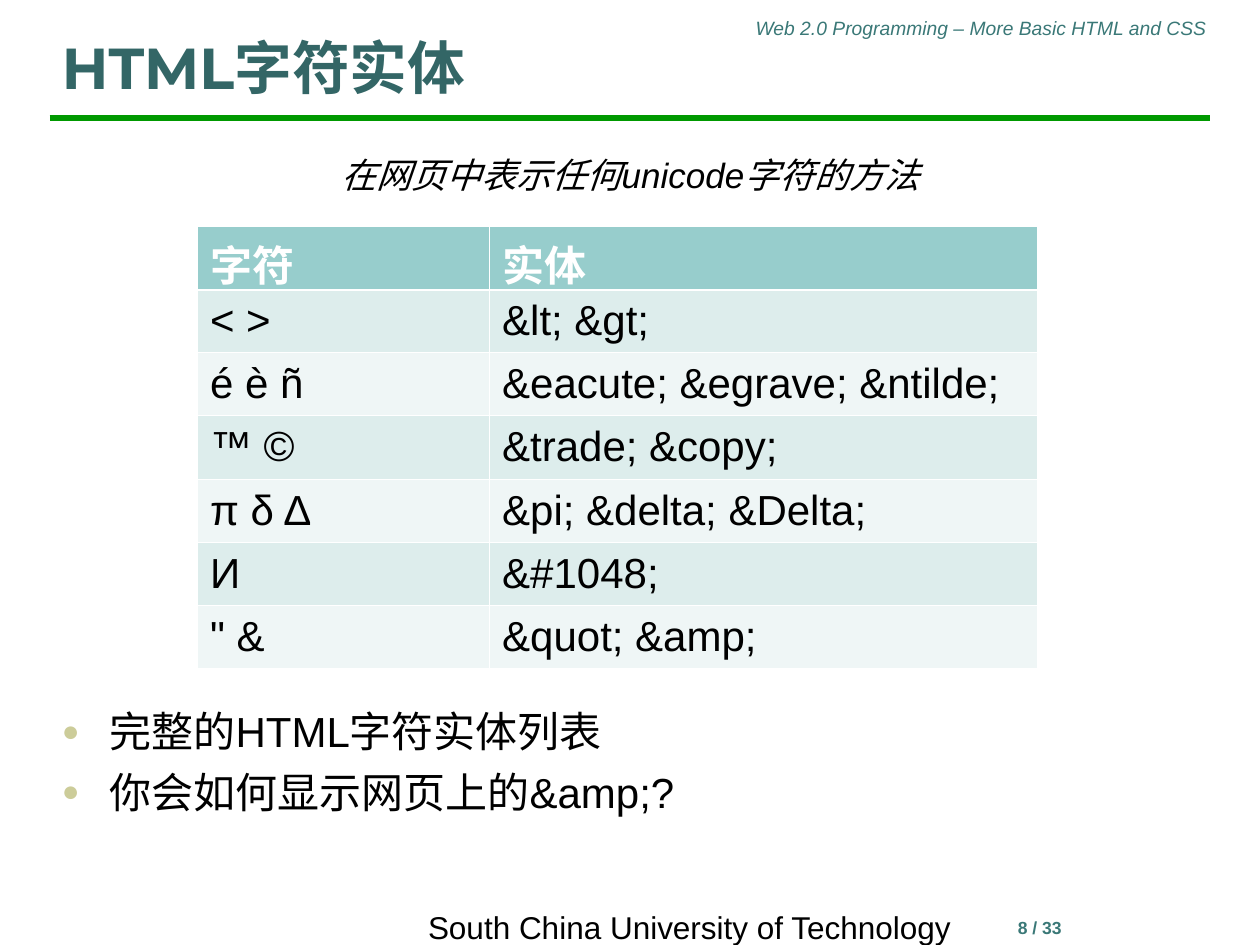
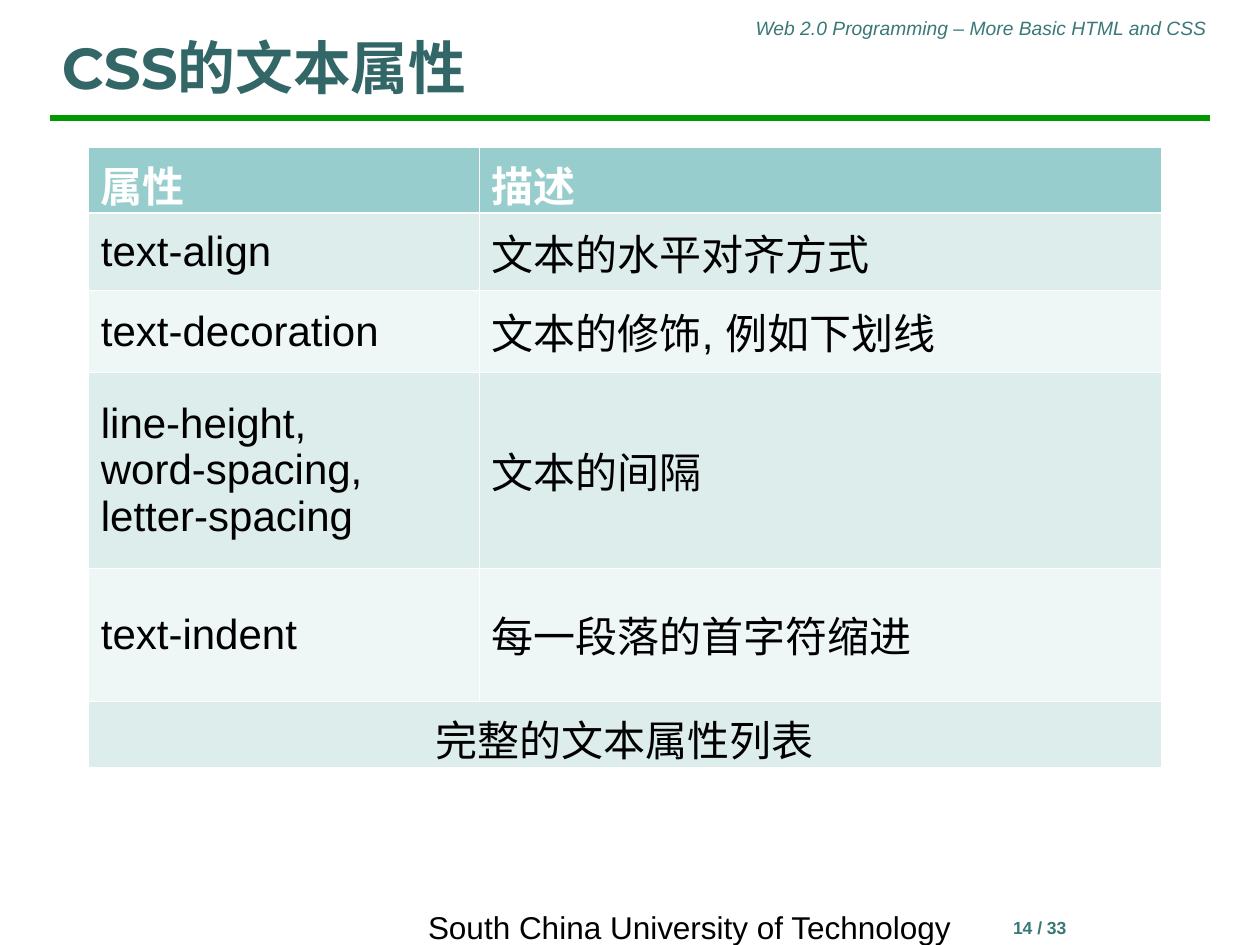
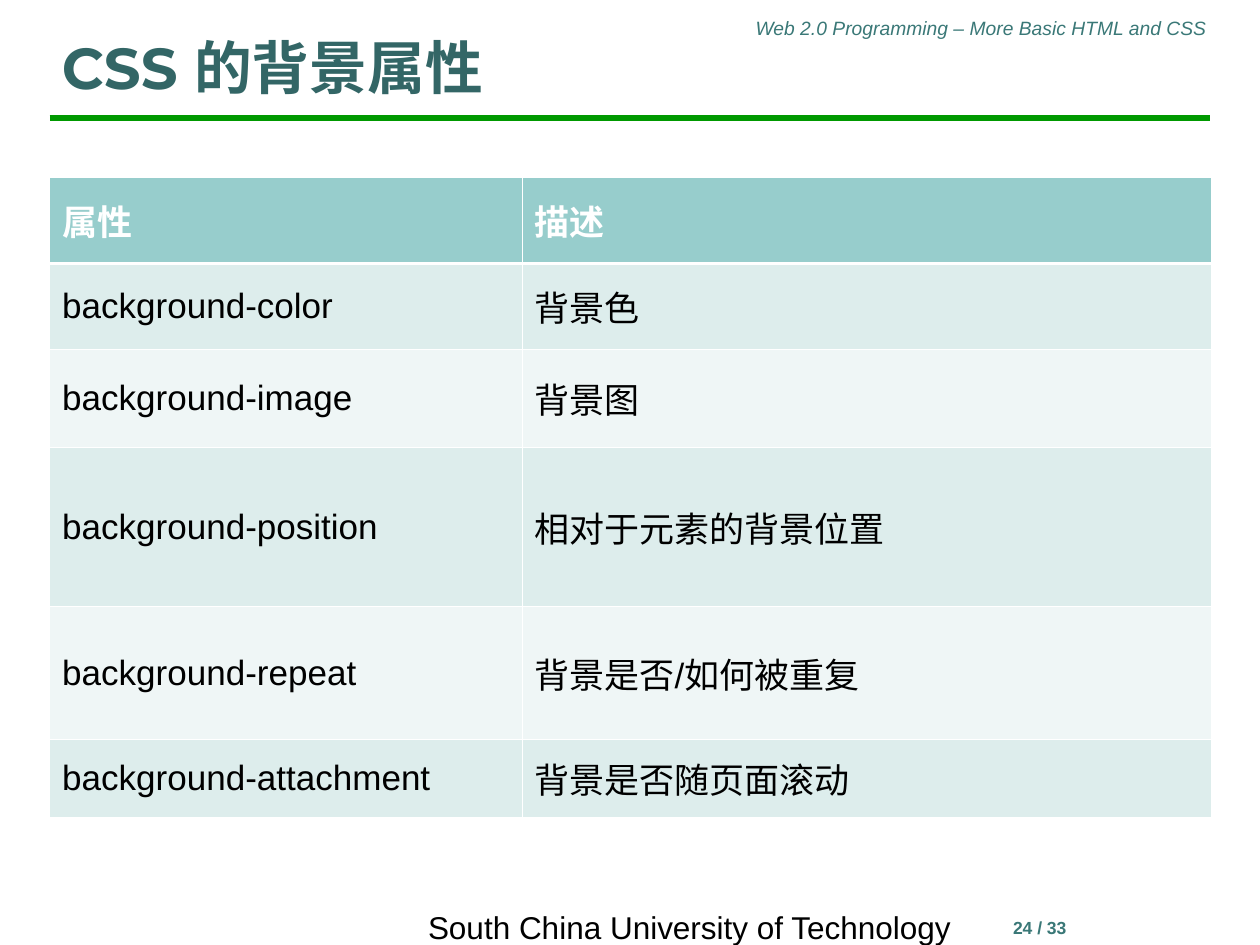
from dataclasses import dataclass

from lxml import etree
from pptx import Presentation
from pptx import util as u
from pptx.dml.color import RGBColor
from pptx.enum import lang, shapes, text
from pptx.oxml import ns


@dataclass(frozen=True)
class Theme:
    title: str = "336666"
    accent: str = "3A7877"
    rule: str = "009900"
    body: str = "000000"
    white: str = "FFFFFF"
    bullet: str = "CCCC99"
    header_fill: str = "97CDCC"
    band_fills: tuple = ("DDEDEC", "EFF6F6")
    title_font: str = "Montserrat"
    body_font: str = "Arial"
    title_size: int = 33
    large_size: int = 24
    medium_size: int = 20
    footer_size: int = 18
    running_size: int = 11
    number_size: int = 10
    rule_width: float = 3
    border: float = 0.45
    header_border: float = 1.47


@dataclass(frozen=True)
class Box:
    left: float
    top: float
    width: float
    height: float

    def inside(self, left, top, width, height):
        return Box(self.left + left, self.top + top, width, height)

    def lengths(self):
        return [u.Cm(value) for value in (self.left, self.top, self.width, self.height)]


THEME = Theme()
PAGE = Box(0, 0, 25.4, 19.05)
CONTENT = Box(1, 2.97, 23.42, 14.5)
PAGE_COUNT = 33
COURSE = "Web 2.0 Programming – More Basic HTML and CSS"
SCHOOL = "South China University of Technology"
LEFT, CENTER, RIGHT = text.PP_ALIGN.LEFT, text.PP_ALIGN.CENTER, text.PP_ALIGN.RIGHT
TOP, MIDDLE, BOTTOM = text.MSO_ANCHOR.TOP, text.MSO_ANCHOR.MIDDLE, text.MSO_ANCHOR.BOTTOM


def add_xml(parent, tag, **attributes):
    return etree.SubElement(parent, ns.qn(tag), attributes)


def write(paragraph, content, size=THEME.large_size, color=THEME.body, font=THEME.body_font,
          bold=False, italic=False, align=LEFT, before=0):
    paragraph.text = content
    paragraph.alignment = align
    paragraph.space_before = u.Pt(before)
    for run in paragraph.runs:
        run.font.name = font
        run.font.size = u.Pt(size)
        run.font.bold = bold
        run.font.italic = italic
        run.font.color.rgb = RGBColor.from_string(color)
        run.font.language_id = lang.MSO_LANGUAGE_ID.SIMPLIFIED_CHINESE


def add_text(slide, box, lines, anchor=TOP, bulleted=False, **style):
    frame = slide.shapes.add_textbox(*box.lengths()).text_frame
    frame.word_wrap = True
    frame.vertical_anchor = anchor
    for index, line in enumerate(lines):
        paragraph = frame.add_paragraph() if index else frame.paragraphs[0]
        write(paragraph, line, **style)
        if bulleted:
            add_bullet(paragraph)


def add_bullet(paragraph):
    properties = paragraph._p.get_or_add_pPr()
    indent = u.Cm(0.96)
    properties.set("marL", str(indent))
    properties.set("indent", str(-indent))
    add_xml(add_xml(properties, "a:buClr"), "a:srgbClr", val=THEME.bullet)
    add_xml(properties, "a:buSzPct", val="70000")
    add_xml(properties, "a:buFont", typeface=THEME.body_font)
    add_xml(properties, "a:buChar", char="●")


def add_rule(slide, box):
    left, top, width, height = box.lengths()
    rule = slide.shapes.add_connector(
        shapes.MSO_CONNECTOR.STRAIGHT, left, top, left + width, top + height)
    rule.line.color.rgb = RGBColor.from_string(THEME.rule)
    rule.line.width = u.Pt(THEME.rule_width)
    add_xml(rule._element.spPr, "a:effectLst")


def add_page_frame(slide, box, title, number):
    add_rule(slide, box.inside(1, 2.38, 23.4, 0))
    add_text(slide, box.inside(12.29, 0.2, 12.29, 0.74), [COURSE],
             size=THEME.running_size, color=THEME.accent, italic=True, align=RIGHT)
    add_text(slide, box.inside(18.1, 18.36, 5.72, 1.27), [f"{number} / {PAGE_COUNT}"],
             size=THEME.number_size, color=THEME.accent, bold=True, align=CENTER)
    add_text(slide, box.inside(8.1, 18.35, 11.6, 0.69), [SCHOOL], anchor=MIDDLE,
             size=THEME.footer_size, align=CENTER)
    add_text(slide, box.inside(1, 0.38, 23.42, 1.78), [title], anchor=BOTTOM,
             size=THEME.title_size, color=THEME.title, font=THEME.title_font, bold=True)


def set_borders(cell, row_index):
    properties = cell._tc.get_or_add_tcPr()
    widths = {
        "a:lnL": THEME.border,
        "a:lnR": THEME.border,
        "a:lnT": THEME.header_border if row_index == 1 else THEME.border,
        "a:lnB": THEME.header_border if row_index == 0 else THEME.border,
    }
    for position, (tag, width) in enumerate(widths.items()):
        line = etree.Element(ns.qn(tag), w=str(u.Pt(width)))
        add_xml(add_xml(line, "a:solidFill"), "a:srgbClr", val=THEME.white)
        properties.insert(position, line)


def add_property_table(slide, box, rows, column_widths, row_heights,
                       size=THEME.large_size, header_anchor=MIDDLE):
    table = slide.shapes.add_table(len(rows), len(column_widths), *box.lengths()).table
    table.horz_banding = False
    for column, width in zip(table.columns, column_widths):
        column.width = u.Cm(width)
    for row_index, (values, height) in enumerate(zip(rows, row_heights)):
        table.rows[row_index].height = u.Cm(height)
        header = row_index == 0
        spanning = len(values) == 1
        fill = THEME.header_fill if header else THEME.band_fills[(row_index - 1) % 2]
        for column_index in range(len(column_widths)):
            cell = table.cell(row_index, column_index)
            cell.fill.solid()
            cell.fill.fore_color.rgb = RGBColor.from_string(fill)
            set_borders(cell, row_index)
        for column_index, value in enumerate(values):
            cell = table.cell(row_index, column_index)
            cell.vertical_anchor = header_anchor if header else MIDDLE
            write(cell.text_frame.paragraphs[0], value, size=size, bold=header,
                  color=THEME.white if header else THEME.body,
                  align=CENTER if spanning else LEFT)
        if spanning:
            table.cell(row_index, 0).merge(table.cell(row_index, len(column_widths) - 1))


def fill_entities(slide, box):
    rows = [
        ("字符", "实体"),
        ("< >", "&lt; &gt;"),
        ("é è ñ", "&eacute; &egrave; &ntilde;"),
        ("™ ©", "&trade; &copy;"),
        ("π δ Δ", "&pi; &delta; &Delta;"),
        ("И", "&#1048;"),
        ('" &', "&quot; &amp;"),
    ]
    add_text(slide, box.inside(0, 11.13, box.width, 3.38),
             ["完整的HTML字符实体列表", "你会如何显示网页上的&amp;?"], bulleted=True, before=6)
    add_text(slide, box.inside(0, 0, box.width, 1.57), ["在网页中表示任何unicode字符的方法"],
             size=THEME.medium_size, italic=True, align=CENTER, before=5)
    add_property_table(slide, box.inside(2.98, 1.6, 16.94, 8.89), rows,
                       (5.89, 11.05), [1.27] * len(rows), header_anchor=TOP)


def fill_text_properties(slide, box):
    rows = [
        ("属性", "描述"),
        ("text-align", "文本的水平对齐方式"),
        ("text-decoration", "文本的修饰, 例如下划线"),
        ("line-height, \nword-spacing, \nletter-spacing", "文本的间隔"),
        ("text-indent", "每一段落的首字符缩进"),
        ("完整的文本属性列表",),
    ]
    add_property_table(slide, box.inside(0.78, 0, 21.63, 12.49), rows,
                       (7.88, 13.75), (1.32, 1.57, 1.65, 3.94, 2.69, 1.32))


def fill_background_properties(slide, box):
    rows = [
        ("属性", "描述"),
        ("background-color", "背景色"),
        ("background-image", "背景图"),
        ("background-position", "相对于元素的背景位置"),
        ("background-repeat", "背景是否/如何被重复"),
        ("background-attachment", "背景是否随页面滚动"),
    ]
    add_property_table(slide, box.inside(0, 0.61, box.width, 12.9), rows,
                       (9.52, 13.9), (1.73, 1.73, 1.98, 3.2, 2.69, 1.57),
                       size=THEME.medium_size)


def main():
    presentation = Presentation()
    presentation.slide_width = u.Cm(PAGE.width)
    presentation.slide_height = u.Cm(PAGE.height)
    pages = [
        ("HTML字符实体", 8, fill_entities),
        ("CSS的文本属性", 14, fill_text_properties),
        ("CSS 的背景属性", 24, fill_background_properties),
    ]
    for title, number, fill_content in pages:
        slide = presentation.slides.add_slide(presentation.slide_layouts[6])
        add_page_frame(slide, PAGE, title, number)
        fill_content(slide, CONTENT)
    presentation.save("out.pptx")


if __name__ == "__main__":
    main()
